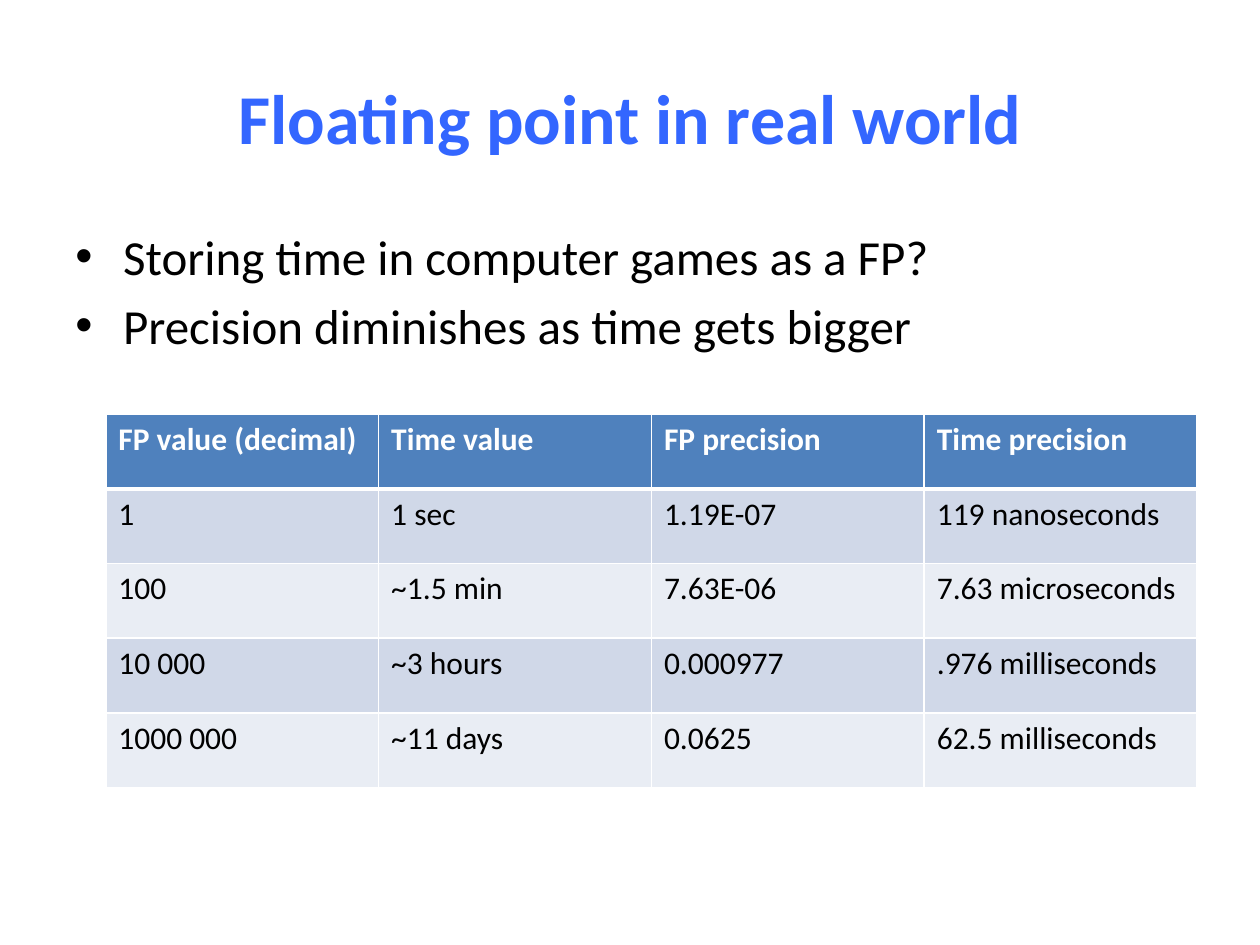
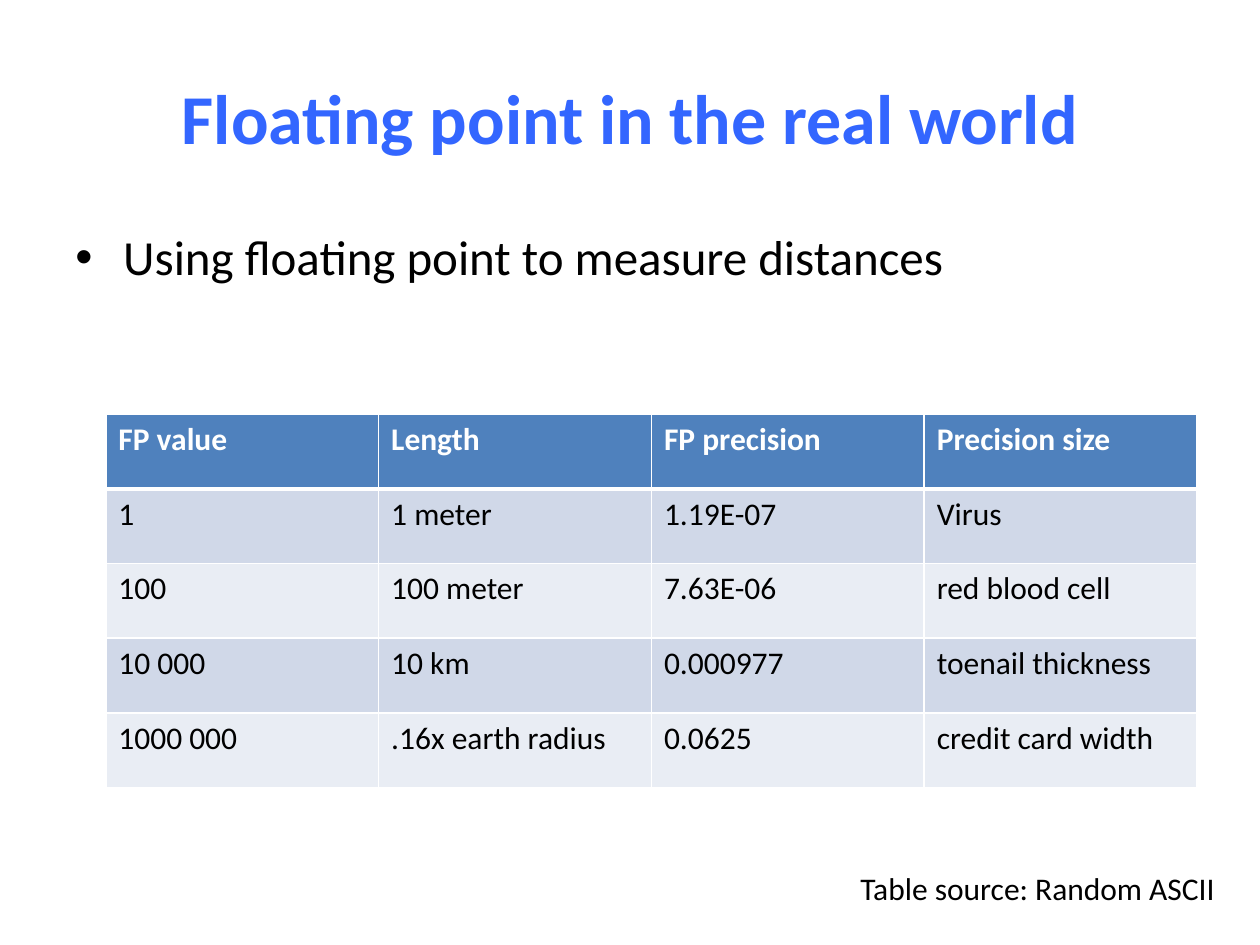
from lxml.etree import SubElement
from pptx import Presentation
from pptx.dml.color import RGBColor
from pptx.enum.text import MSO_ANCHOR as Anchor, PP_ALIGN as Align
from pptx.oxml.ns import qn
from pptx.util import Inches, Pt

SLIDES = [
    {
        "title": "Floating point in real world",
        "bullets": [
            "Storing time in computer games as a FP?",
            "Precision diminishes as time gets bigger",
        ],
        "rows": [
            ("FP value (decimal)", "Time value", "FP precision", "Time precision"),
            ("1", "1 sec", "1.19E-07", "119 nanoseconds"),
            ("100", "~1.5 min", "7.63E-06", "7.63 microseconds"),
            ("10 000", "~3 hours", "0.000977", ".976 milliseconds"),
            ("1000 000", "~11 days", "0.0625", "62.5 milliseconds"),
        ],
    },
    {
        "title": "Floating point in the real world",
        "bullets": ["Using floating point to measure distances"],
        "rows": [
            ("FP value", "Length", "FP precision", "Precision size"),
            ("1", "1 meter", "1.19E-07", "Virus"),
            ("100", "100 meter", "7.63E-06", "red blood cell"),
            ("10 000", "10 km", "0.000977", "toenail thickness"),
            ("1000 000", ".16x earth radius", "0.0625", "credit card width"),
        ],
        "source": "Table source: Random ASCII",
    },
]

FONT = "Calibri"
TITLE_BLUE = RGBColor(0x33, 0x66, 0xFF)
HEADER_BLUE = RGBColor(0x4F, 0x81, 0xBD)
BAND_DARK = RGBColor(0xD0, 0xD8, 0xE8)
BAND_LIGHT = RGBColor(0xE9, 0xED, 0xF4)
BLACK = RGBColor(0, 0, 0)
WHITE = RGBColor(0xFF, 0xFF, 0xFF)

COLUMN_WIDTH = Inches(2.165)
ROW_HEIGHT = Inches(0.592)
BULLET_INDENT = Inches(0.38)
THIN, THICK = Pt(1), Pt(3)


def add_run(paragraph, text, size, color=BLACK, bold=False):
    run = paragraph.add_run()
    run.text = text
    font = run.font
    font.name, font.size, font.bold = FONT, Pt(size), bold
    font.color.rgb = color


def set_title(slide, text):
    title = slide.shapes.title
    title.left, title.top = Inches(0.5), Inches(0.3)
    title.width, title.height = Inches(9), Inches(1.25)
    title.text_frame.vertical_anchor = Anchor.MIDDLE
    paragraph = title.text_frame.paragraphs[0]
    paragraph.alignment = Align.CENTER
    add_run(paragraph, text, 40, TITLE_BLUE, bold=True)


def add_bullets(slide, bullets):
    height = Inches(0.72 + 0.82 * (len(bullets) - 1))
    box = slide.shapes.add_textbox(Inches(0.5), Inches(1.75), Inches(9), height)
    frame = box.text_frame
    frame.word_wrap = True
    for index, text in enumerate(bullets):
        paragraph = frame.add_paragraph() if index else frame.paragraphs[0]
        if index:
            paragraph.space_before = Pt(5.6)
        properties = paragraph._p.get_or_add_pPr()
        properties.set("marL", str(BULLET_INDENT))
        properties.set("indent", str(-BULLET_INDENT))
        SubElement(properties, qn("a:buFont"), typeface="Arial")
        SubElement(properties, qn("a:buChar"), char="•")
        add_run(paragraph, text, 28)


def set_borders(cell, top, bottom):
    """Draw white borders; they must precede the fill in the cell's XML."""
    properties = cell._tc.get_or_add_tcPr()
    for side, width in (("L", THIN), ("R", THIN), ("T", top), ("B", bottom)):
        line = SubElement(properties, qn(f"a:ln{side}"), w=str(width))
        fill = SubElement(line, qn("a:solidFill"))
        SubElement(fill, qn("a:srgbClr"), val=str(WHITE))


def add_precision_table(slide, rows):
    row_count, column_count = len(rows), len(rows[0])
    table = slide.shapes.add_table(
        row_count, column_count, Inches(0.84), Inches(3.29),
        COLUMN_WIDTH * column_count, ROW_HEIGHT * row_count,
    ).table
    for column in table.columns:
        column.width = COLUMN_WIDTH
    for row_index, values in enumerate(rows):
        table.rows[row_index].height = ROW_HEIGHT
        is_header = row_index == 0
        band = BAND_DARK if row_index % 2 else BAND_LIGHT
        for column_index, text in enumerate(values):
            cell = table.cell(row_index, column_index)
            set_borders(cell, top=THICK if row_index == 1 else THIN,
                        bottom=THICK if is_header else THIN)
            cell.fill.solid()
            cell.fill.fore_color.rgb = HEADER_BLUE if is_header else band
            add_run(cell.text_frame.paragraphs[0], text, 18,
                    WHITE if is_header else BLACK, bold=is_header)


def add_source(slide, text):
    box = slide.shapes.add_textbox(Inches(6.73), Inches(6.85), Inches(3.07), Inches(0.4))
    box.text_frame.word_wrap = False
    add_run(box.text_frame.paragraphs[0], text, 18)


def main():
    presentation = Presentation()
    presentation.slide_width, presentation.slide_height = Inches(10), Inches(7.5)
    title_only = presentation.slide_layouts[5]
    for content in SLIDES:
        slide = presentation.slides.add_slide(title_only)
        set_title(slide, content["title"])
        add_bullets(slide, content["bullets"])
        add_precision_table(slide, content["rows"])
        if "source" in content:
            add_source(slide, content["source"])
    presentation.save("out.pptx")


if __name__ == "__main__":
    main()
